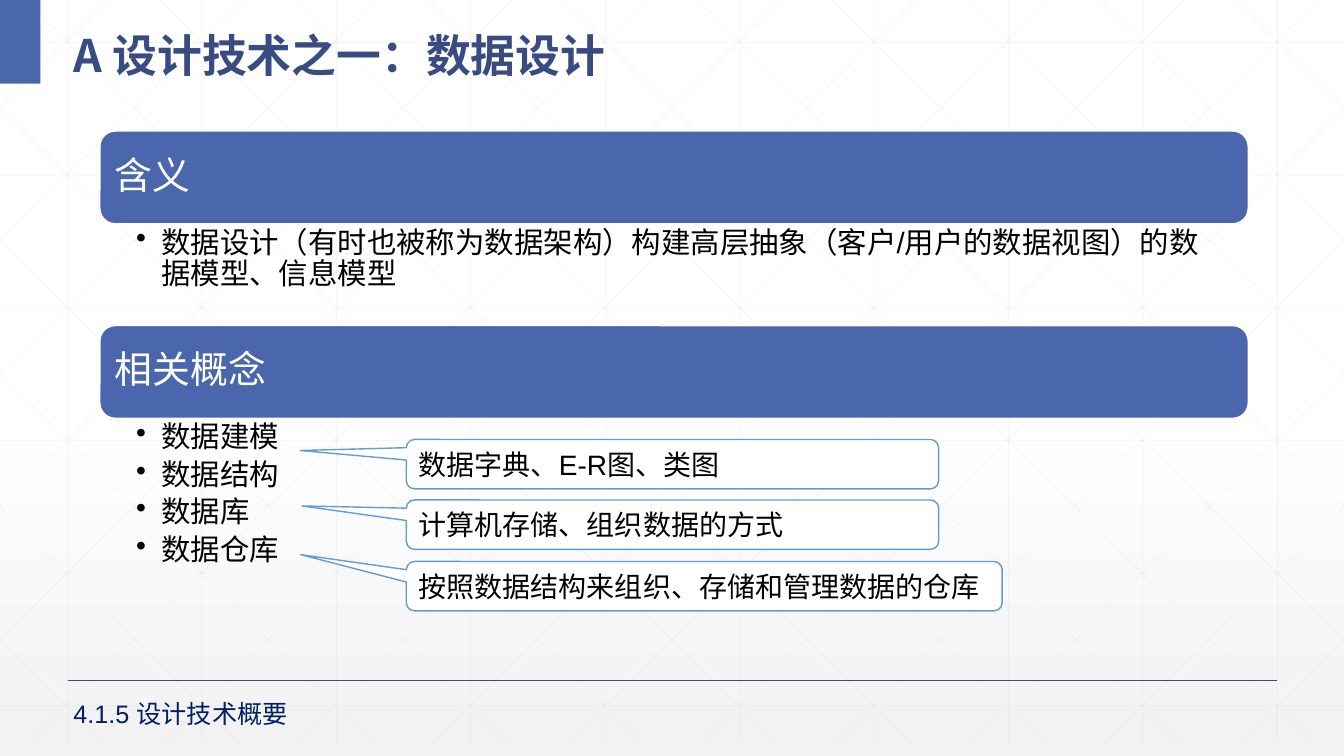
from lxml import etree
from pptx import Presentation
from pptx.dml.color import RGBColor
from pptx.enum.lang import MSO_LANGUAGE_ID
from pptx.enum.shapes import MSO_CONNECTOR, MSO_SHAPE
from pptx.enum.text import MSO_ANCHOR, PP_ALIGN
from pptx.oxml.ns import qn
from pptx.util import Inches, Pt

STRAIGHT = MSO_CONNECTOR.STRAIGHT
RECT = MSO_SHAPE.RECTANGLE
ROUNDED = MSO_SHAPE.ROUNDED_RECTANGLE
CALLOUT = MSO_SHAPE.ROUNDED_RECTANGULAR_CALLOUT
TOP, MIDDLE = MSO_ANCHOR.TOP, MSO_ANCHOR.MIDDLE
LEFT = PP_ALIGN.LEFT
CHINESE = MSO_LANGUAGE_ID.SIMPLIFIED_CHINESE

COLORS = {
    "blue": "4A66AC", "title": "384C81", "callout": "629DD1", "footer": "002060",
    "grid": "D9D9D9", "white": "FFFFFF", "black": "000000", "fade": "F2F2F2",
}
BODY_FONT, TITLE_FONT = "Arial", "Noto Sans CJK SC"
SLIDE_W, SLIDE_H = 13.33, 7.5
GRID_H = 7.37
GRID_STEP = 4 / 3
DIAGONAL_SLOPE = 0.989
DEFAULT_INSETS = (0.1, 0.05, 0.1, 0.05)

SECTIONS = [
    (1.3, 1.01, "含义",
     ["数据设计（有时也被称为数据架构）构建高层抽象（客户/用户的数据视图）的数据模型、信息模型"]),
    (3.23, 2.2, "相关概念", ["数据建模", "数据结构", "数据库", "数据仓库"]),
]
# top, width, pointer offset, text
CALLOUTS = [
    (4.96, 5.28, (-0.696, -0.378), "计算机存储、组织数据的方式"),
    (5.57, 5.91, (-0.677, -0.638), "按照数据结构来组织、存储和管理数据的仓库"),
    (4.36, 5.28, (-0.699, -0.276), "数据字典、E-R图、类图"),
]


def rgb(name):
    return RGBColor.from_string(COLORS[name])


def add_child(parent, tag, **attributes):
    return etree.SubElement(parent, qn(tag), attributes)


def paint_background(slide):
    fill = slide.background.fill
    fill.gradient()
    fill.gradient_angle = 270
    stops = slide.element.find(".//" + qn("a:gsLst"))
    for stop in list(stops):
        stops.remove(stop)
    for position, color in ((0, "white"), (53, "white"), (100, "fade")):
        stop = add_child(stops, "a:gs", pos=str(position * 1000))
        shade = add_child(stop, "a:srgbClr", val=COLORS[color])
        if color == "fade":
            add_child(shade, "a:alpha", val="65000")


def add_line(shapes, start, end, color, width, opacity=None):
    line = shapes.add_connector(STRAIGHT, *(Inches(v) for v in (*start, *end)))
    line.line.color.rgb = rgb(color)
    line.line.width = Pt(width)
    if opacity:
        shade = line.line._ln.find(".//" + qn("a:srgbClr"))
        add_child(shade, "a:alpha", val=str(opacity * 1000))
    add_child(line._element.spPr, "a:effectLst")


def add_grid(slide):
    """Faint squares crossed by diagonals that are clipped at the slide edges."""
    lines = [((x, 0), (x, GRID_H)) for x in (0.67 + GRID_STEP * i for i in range(10))]
    lines += [((0, y), (SLIDE_W, y)) for y in (0.42 + 1.316 * i for i in range(6))]
    for i in range(-5, 10):
        origin = 0.25 + GRID_STEP * i
        x1 = max(origin, 0)
        x2 = min(origin + GRID_H / DIAGONAL_SLOPE, SLIDE_W)
        y1, y2 = ((x - origin) * DIAGONAL_SLOPE for x in (x1, x2))
        lines.append(((x1, y1), (x2, y2)))
        lines.append(((SLIDE_W - x1, y1), (SLIDE_W - x2, y2)))
    grid = slide.shapes.add_group_shape()
    for start, end in lines:
        add_line(grid.shapes, start, end, "grid", 0.5, opacity=25)


def add_panel(slide, kind, box, fill, outline=None):
    panel = slide.shapes.add_shape(kind, *map(Inches, box))
    panel.shadow.inherit = False
    panel.fill.solid()
    panel.fill.fore_color.rgb = rgb(fill)
    if outline:
        panel.line.color.rgb = rgb(outline)
        panel.line.width = Pt(1)
    else:
        panel.line.fill.background()
    return panel


def write(shape, lines, size, color, font=BODY_FONT, bold=False, anchor=TOP,
          insets=DEFAULT_INSETS, spacing=None, after=None, bullets=False):
    """Fill a shape with paragraphs; after is a percentage of the text size."""
    frame = shape.text_frame
    frame.word_wrap = True
    frame.vertical_anchor = anchor
    (frame.margin_left, frame.margin_top,
     frame.margin_right, frame.margin_bottom) = map(Inches, insets)
    for i, line in enumerate(lines):
        paragraph = frame.add_paragraph() if i else frame.paragraphs[0]
        paragraph.alignment = LEFT
        if spacing:
            paragraph.line_spacing = spacing
        properties = paragraph._p.get_or_add_pPr()
        if after:
            space = add_child(properties, "a:spcAft")
            add_child(space, "a:spcPct", val=str(after * 1000))
        if bullets:
            properties.set("marL", str(Inches(0.25)))
            properties.set("indent", str(Inches(-0.25)))
            add_child(properties, "a:buChar", char="•")
        run = paragraph.add_run()
        run.text = line
        run.font.name = font
        run.font.size = Pt(size)
        run.font.bold = bold
        run.font.color.rgb = rgb(color)
        run.font.language_id = CHINESE
        add_child(run._r.get_or_add_rPr(), "a:ea", typeface=font)


def add_text(slide, box, lines, size, color, **style):
    write(slide.shapes.add_textbox(*map(Inches, box)), lines, size, color, **style)


def add_section(slide, top, body_height, heading, points):
    left, width, bar_height = 0.99, 11.39, 0.92
    add_panel(slide, ROUNDED, (left, top, width, bar_height), "blue", "white")
    add_text(slide, (left + 0.04, top + 0.04, width - 0.09, 0.83), [heading], 27, "white",
             anchor=MIDDLE, insets=(0.11,) * 4, spacing=0.9, after=35)
    add_text(slide, (left, top + bar_height, width, body_height), points, 21, "black",
             insets=(0.36, 0.04, 0.21, 0.04), spacing=0.9, after=20, bullets=True)


def add_callout(slide, top, width, pointer, text):
    callout = add_panel(slide, CALLOUT, (4.03, top, width, 0.49), "white", "callout")
    callout.adjustments[0], callout.adjustments[1] = pointer
    write(callout, [text], 20, "black", anchor=MIDDLE)


def main():
    deck = Presentation()
    deck.slide_width, deck.slide_height = Inches(SLIDE_W), Inches(SLIDE_H)
    slide = deck.slides.add_slide(deck.slide_layouts[6])
    paint_background(slide)
    add_grid(slide)
    add_line(slide.shapes, (0.67, 6.75), (12.67, 6.75), "title", 1)
    add_panel(slide, RECT, (0, 0, 0.4, 0.83), "blue")
    for section in SECTIONS:
        add_section(slide, *section)
    add_text(slide, (0.63, 0.1, 12.42, 0.73), ["A 设计技术之一：数据设计"], 32, "title",
             font=TITLE_FONT, bold=True, anchor=MIDDLE, spacing=1.3)
    for callout in CALLOUTS:
        add_callout(slide, *callout)
    add_text(slide, (0.63, 6.88, 3.53, 0.4), ["4.1.5 设计技术概要"], 18, "footer")
    deck.save("out.pptx")


if __name__ == "__main__":
    main()
